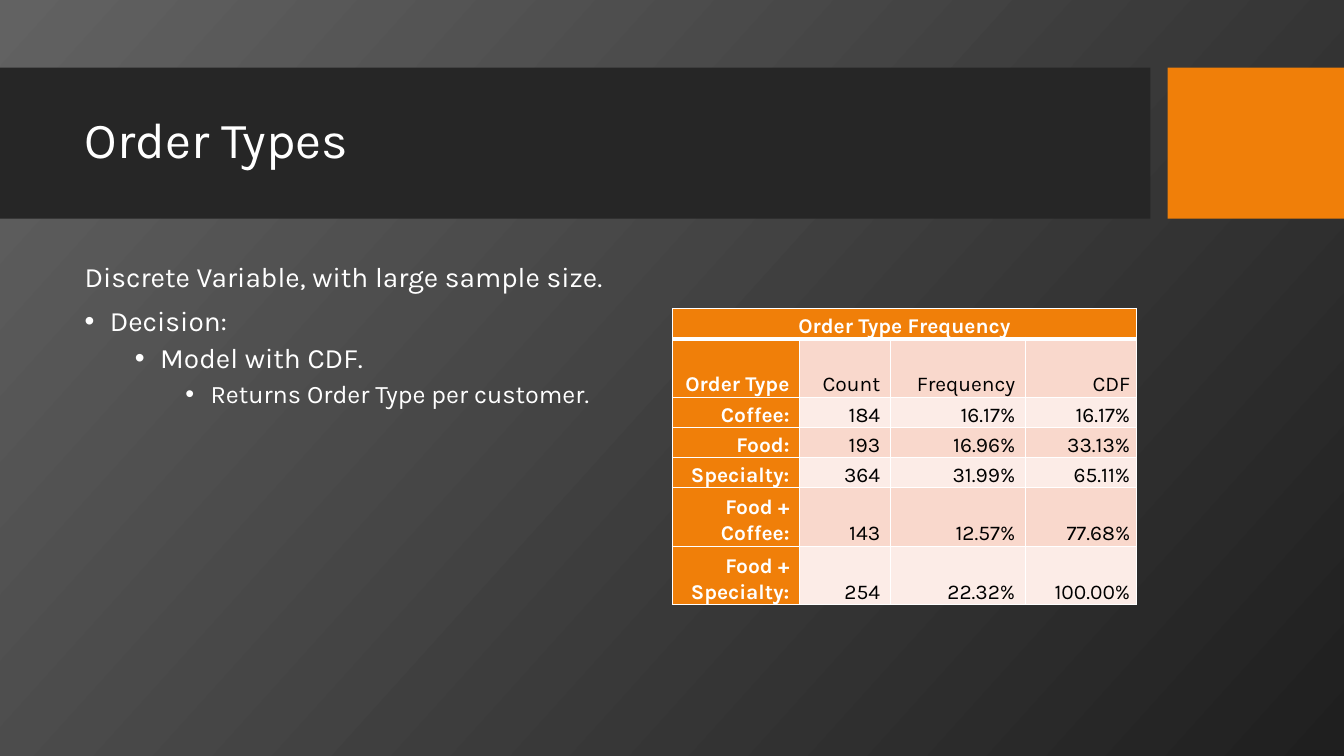
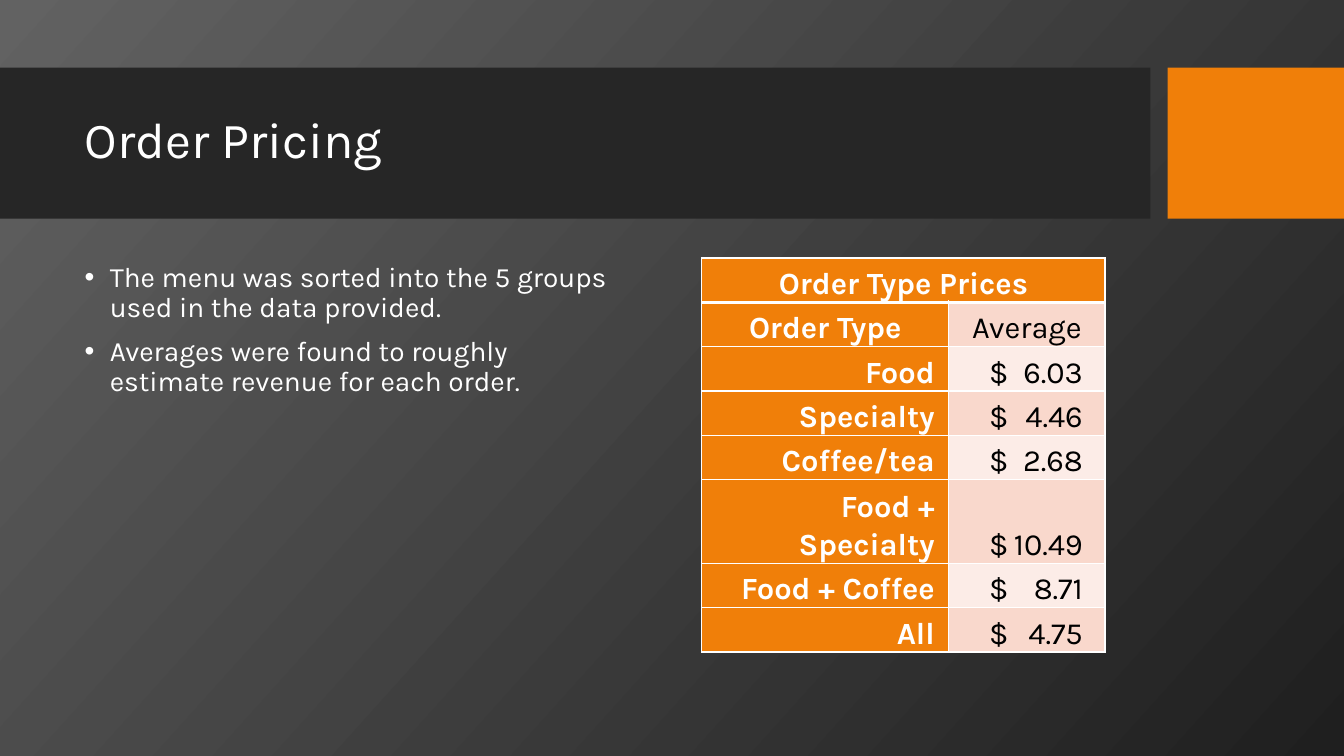
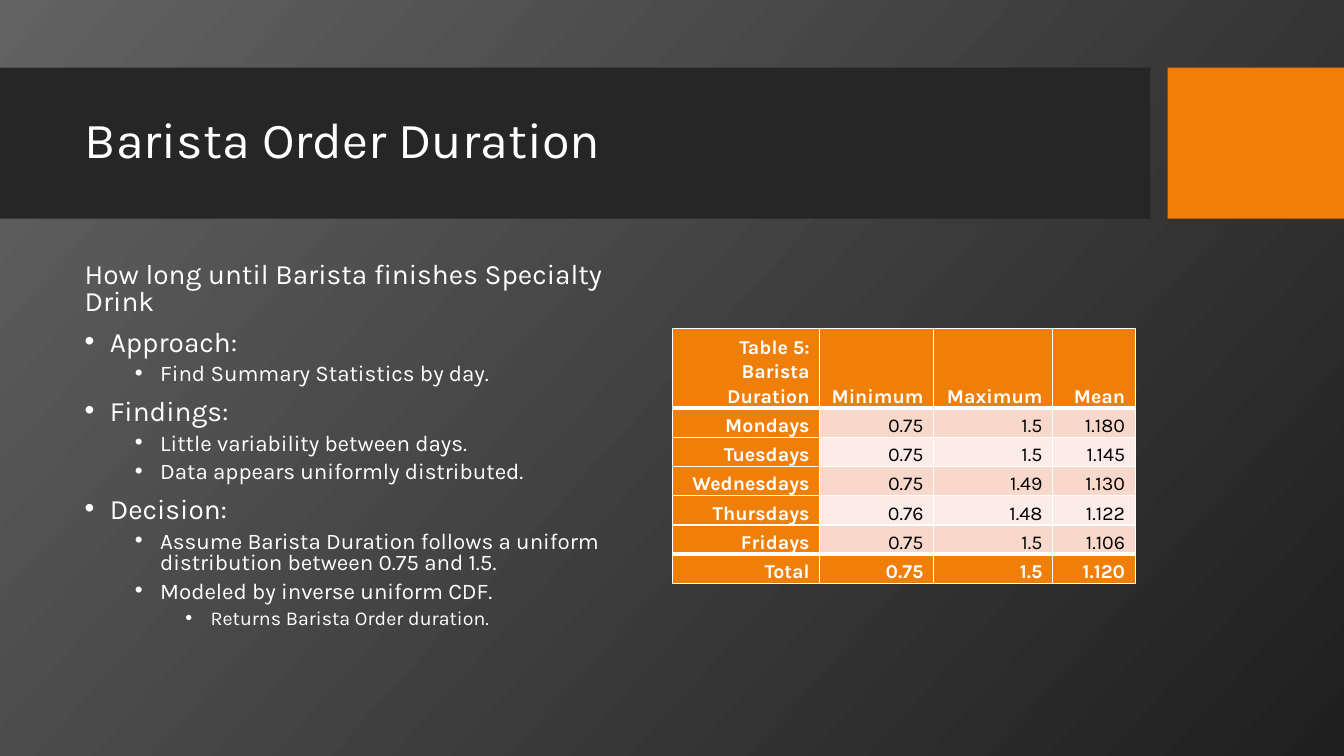
import dataclasses

import lxml.etree
import pptx
import pptx.dml.color
import pptx.enum.shapes
import pptx.enum.text
import pptx.oxml.ns
import pptx.util

Inches = pptx.util.Inches
Pt = pptx.util.Pt
Align = pptx.enum.text.PP_ALIGN
Anchor = pptx.enum.text.MSO_ANCHOR
rgb = pptx.dml.color.RGBColor.from_string
qn = pptx.oxml.ns.qn


@dataclasses.dataclass(frozen=True)
class Theme:
    font: str = "Karla"
    white: str = "FFFFFF"
    black: str = "000000"
    band: str = "262626"
    accent: str = "F07F09"
    stripes: tuple = ("FCECE7", "F9D8CC")
    background: tuple = ("626262", "1F1F1F")
    background_angle: int = 318
    title_size: int = 36
    table_spacing: float = 1.07
    thin: int = 1
    thick: int = 3


THEME = Theme()
BANDS = [
    ((0, 0.67, 11.41, 1.5), THEME.band),
    ((11.58, 0.67, 1.75, 1.5), THEME.accent),
]
TITLE_BOX = (0.74, 0.82, 10.51, 1.18)
BODY_BOX = (0.74, 2.56, 5.39, 3.94)
LEVEL_INDENTS = (0.25, 0.75, 1.25)
BULLET_HANG = 0.25
LEVEL_SPACE = (10, 5, 5)
PLAIN = None

SLIDES = [
    {
        "title": "Order Types",
        "line_spacing": 0.9,
        "sizes": (20, 20, 18),
        "body": [
            (PLAIN, "Discrete Variable, with large sample size."),
            (0, "Decision:"),
            (1, "Model with CDF."),
            (2, "Returns Order Type per customer."),
        ],
        "table": {
            "at": (6.67, 3.06),
            "columns": (1.26, 0.9, 1.34, 1.1),
            "insets": (0.1, 0.1, 0.1, 0.06),
            "row": 0.3,
            "tall_rows": {1: 0.58, 5: 0.58, 6: 0.58},
            "size": 15,
            "centred_rows": (0,),
            "rows": [
                ("Order Type Frequency",),
                ("Order Type", "Count", "Frequency", "CDF"),
                ("Coffee:", "184", "16.17%", "16.17%"),
                ("Food:", "193", "16.96%", "33.13%"),
                ("Specialty:", "364", "31.99%", "65.11%"),
                ("Food + Coffee:", "143", "12.57%", "77.68%"),
                ("Food + Specialty:", "254", "22.32%", "100.00%"),
            ],
        },
    },
    {
        "title": "Order Pricing",
        "line_spacing": 0.9,
        "sizes": (20, 20, 18),
        "body": [
            (0, "The menu was sorted into the 5 groups used in the data provided."),
            (0, "Averages were found to roughly estimate revenue for each order."),
        ],
        "table": {
            "at": (6.96, 2.56),
            "columns": (2.45, 1.55),
            "insets": (0.14, 0.14),
            "row": 0.44,
            "tall_rows": {5: 0.83},
            "size": 22,
            "centred_rows": (0, 1),
            "amount_inset": 0.4,
            "amount_tab": 0.93,
            "rows": [
                ("Order Type Prices",),
                ("Order Type", "Average"),
                ("Food", "$\t6.03"),
                ("Specialty", "$\t4.46"),
                ("Coffee/tea", "$\t2.68"),
                ("Food + Specialty", "$\t10.49"),
                ("Food + Coffee", "$\t8.71"),
                ("All", "$\t4.75"),
            ],
        },
    },
    {
        "title": "Barista Order Duration",
        "line_spacing": 0.8,
        "sizes": (20, 16, 14),
        "body": [
            (PLAIN, "How long until Barista finishes Specialty Drink"),
            (0, "Approach:"),
            (1, "Find Summary Statistics by day."),
            (0, "Findings:"),
            (1, "Little variability between days."),
            (1, "Data appears uniformly distributed."),
            (0, "Decision:"),
            (1, "Assume Barista Duration follows a uniform distribution between 0.75 and 1.5."),
            (1, "Modeled by inverse uniform CDF."),
            (2, "Returns Barista Order duration."),
        ],
        "table": {
            "at": (6.67, 3.26),
            "columns": (1.46, 1.13, 1.18, 0.82),
            "insets": (0.1, 0.1, 0.1, 0.1),
            "row": 0.29,
            "tall_rows": {0: 0.79},
            "size": 14,
            "centred_rows": (),
            "total": True,
            "rows": [
                ("Table 5: Barista Duration", "Minimum", "Maximum", "Mean"),
                ("Mondays", "0.75", "1.5", "1.180"),
                ("Tuesdays", "0.75", "1.5", "1.145"),
                ("Wednesdays", "0.75", "1.49", "1.130"),
                ("Thursdays", "0.76", "1.48", "1.122"),
                ("Fridays", "0.75", "1.5", "1.106"),
                ("Total", "0.75", "1.5", "1.120"),
            ],
        },
    },
]


def assign(target, values):
    for name, value in values.items():
        setattr(target, name, value)


def box(lengths):
    return [Inches(length) for length in lengths]


def write(paragraph, text, size, color, bold=False, **layout):
    assign(paragraph, layout)
    run = paragraph.add_run()
    run.text = text
    assign(run.font, {"name": THEME.font, "size": Pt(size), "bold": bold})
    run.font.color.rgb = rgb(color)


def paint_background(master):
    fill = master.background.fill
    fill.gradient()
    fill.gradient_angle = THEME.background_angle
    for stop, color in zip(fill.gradient_stops, THEME.background):
        stop.color.rgb = rgb(color)


def add_bands(layout, slide):
    for number, (place, color) in enumerate(BANDS):
        band = slide.shapes.add_shape(
            pptx.enum.shapes.MSO_SHAPE.RECTANGLE, *box(place))
        band.shadow.inherit = False
        band.fill.solid()
        band.fill.fore_color.rgb = rgb(color)
        band.line.fill.background()
        band.element.nvSpPr.cNvPr.set("id", str(100 + number))
        layout.shapes.element.insert(2 + number, band.element)


def set_title(slide, text):
    title = slide.shapes.title
    assign(title, dict(zip(("left", "top", "width", "height"), box(TITLE_BOX))))
    assign(title.text_frame, {
        "word_wrap": True,
        "auto_size": pptx.enum.text.MSO_AUTO_SIZE.NONE,
        "vertical_anchor": Anchor.MIDDLE,
    })
    write(title.text_frame.paragraphs[0], text, THEME.title_size, THEME.white,
          alignment=Align.LEFT, line_spacing=0.9)


def add_bullet(paragraph, level):
    properties = paragraph._p.get_or_add_pPr()
    properties.set("marL", str(Inches(LEVEL_INDENTS[level])))
    properties.set("indent", str(-Inches(BULLET_HANG)))
    lxml.etree.SubElement(properties, qn("a:buFont"), typeface="Arial")
    lxml.etree.SubElement(properties, qn("a:buChar"), char="•")


def add_body(slide, content):
    frame = slide.shapes.add_textbox(*box(BODY_BOX)).text_frame
    frame.word_wrap = True
    for index, (level, text) in enumerate(content["body"]):
        paragraph = frame.add_paragraph() if index else frame.paragraphs[0]
        if level is not PLAIN:
            add_bullet(paragraph, level)
        depth = level or 0
        write(paragraph, text, content["sizes"][depth], THEME.white,
              level=depth, line_spacing=content["line_spacing"],
              space_before=Pt(LEVEL_SPACE[depth] if index else 0))


def add_amount_tab(paragraph, position):
    tabs = lxml.etree.SubElement(paragraph._p.get_or_add_pPr(), qn("a:tabLst"))
    lxml.etree.SubElement(tabs, qn("a:tab"), pos=str(Inches(position)), algn="r")


def set_borders(cell, top, bottom):
    properties = cell._tc.get_or_add_tcPr()
    widths = {"a:lnL": THEME.thin, "a:lnR": THEME.thin, "a:lnT": top, "a:lnB": bottom}
    for index, (side, width) in enumerate(widths.items()):
        border = lxml.etree.Element(qn(side), w=str(Pt(width)))
        fill = lxml.etree.SubElement(border, qn("a:solidFill"))
        lxml.etree.SubElement(fill, qn("a:srgbClr"), val=THEME.white)
        properties.insert(index, border)


def add_table(slide, spec):
    rows, columns = spec["rows"], spec["columns"]
    heights = [spec["tall_rows"].get(r, spec["row"]) for r in range(len(rows))]
    last = len(rows) - 1
    total_row = last if spec.get("total") else None
    thick_edges = {1, total_row}
    size = (sum(columns), sum(heights))
    table = slide.shapes.add_table(
        len(rows), len(columns), *box(spec["at"] + size)).table
    for column, width in zip(table.columns, columns):
        column.width = Inches(width)
    for r, (row, height) in enumerate(zip(table.rows, heights)):
        row.height = Inches(height)
        top, bottom = (THEME.thick if edge in thick_edges else THEME.thin
                       for edge in (r, r + 1))
        for c, inset in enumerate(spec["insets"]):
            cell = table.cell(r, c)
            strong = c == 0 or r in (0, total_row)
            cell.fill.solid()
            cell.fill.fore_color.rgb = rgb(
                THEME.accent if strong else THEME.stripes[r % 2])
            set_borders(cell, top, bottom)
            assign(cell, {
                "margin_left": Inches(inset), "margin_right": Inches(inset),
                "margin_top": 0, "margin_bottom": 0,
                "vertical_anchor": Anchor.BOTTOM,
            })
            if c >= len(rows[r]):
                continue
            paragraph = cell.text_frame.paragraphs[0]
            alignment = Align.CENTER if r in spec["centred_rows"] else Align.RIGHT
            if "\t" in rows[r][c]:
                alignment = Align.LEFT
                cell.margin_left = Inches(spec["amount_inset"])
                add_amount_tab(paragraph, spec["amount_tab"])
            write(paragraph, rows[r][c], spec["size"],
                  THEME.white if strong else THEME.black, strong,
                  alignment=alignment, line_spacing=THEME.table_spacing)
        if len(rows[r]) == 1:
            table.cell(r, 0).merge(table.cell(r, len(columns) - 1))


def main():
    deck = pptx.Presentation()
    assign(deck, {"slide_width": Inches(13.33), "slide_height": Inches(7.5)})
    paint_background(deck.slide_master)
    layout = deck.slide_layouts.get_by_name("Title Only")
    for index, content in enumerate(SLIDES):
        slide = deck.slides.add_slide(layout)
        if index == 0:
            add_bands(layout, slide)
        set_title(slide, content["title"])
        add_body(slide, content)
        add_table(slide, content["table"])
    deck.save("out.pptx")


if __name__ == "__main__":
    main()
